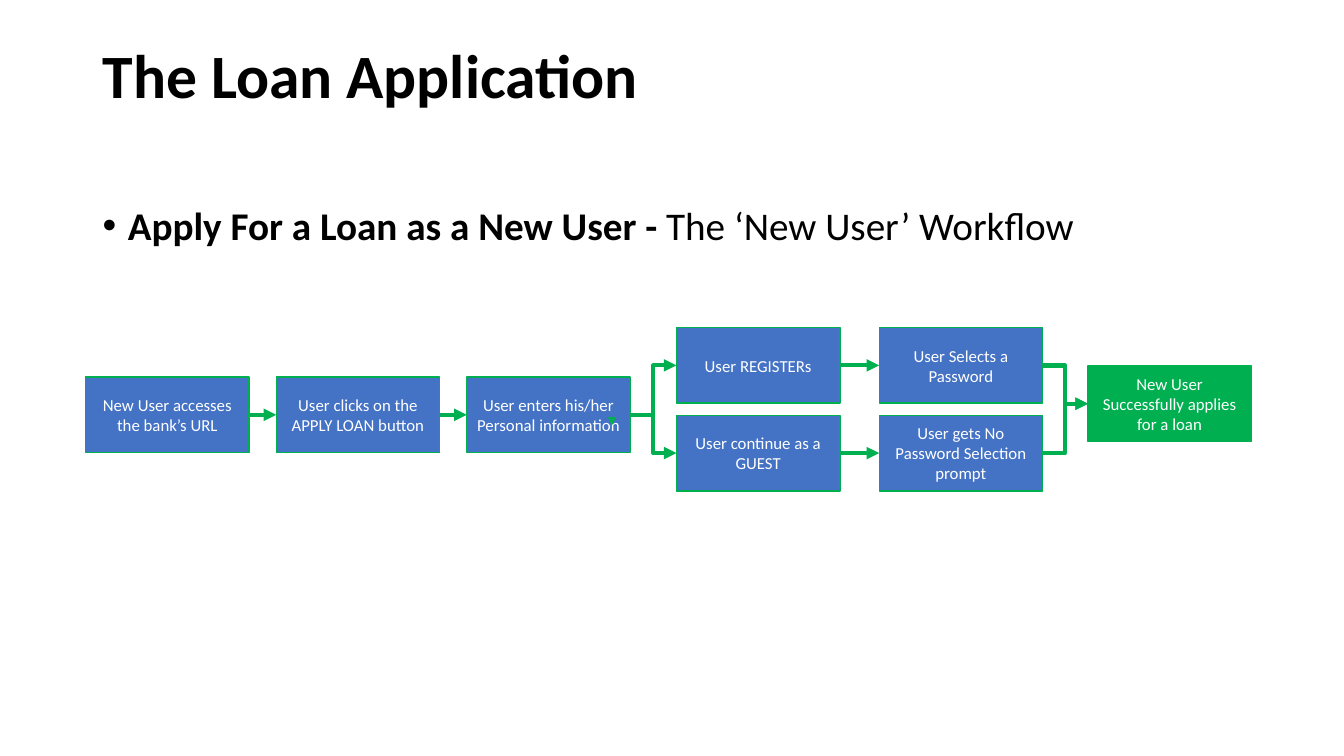
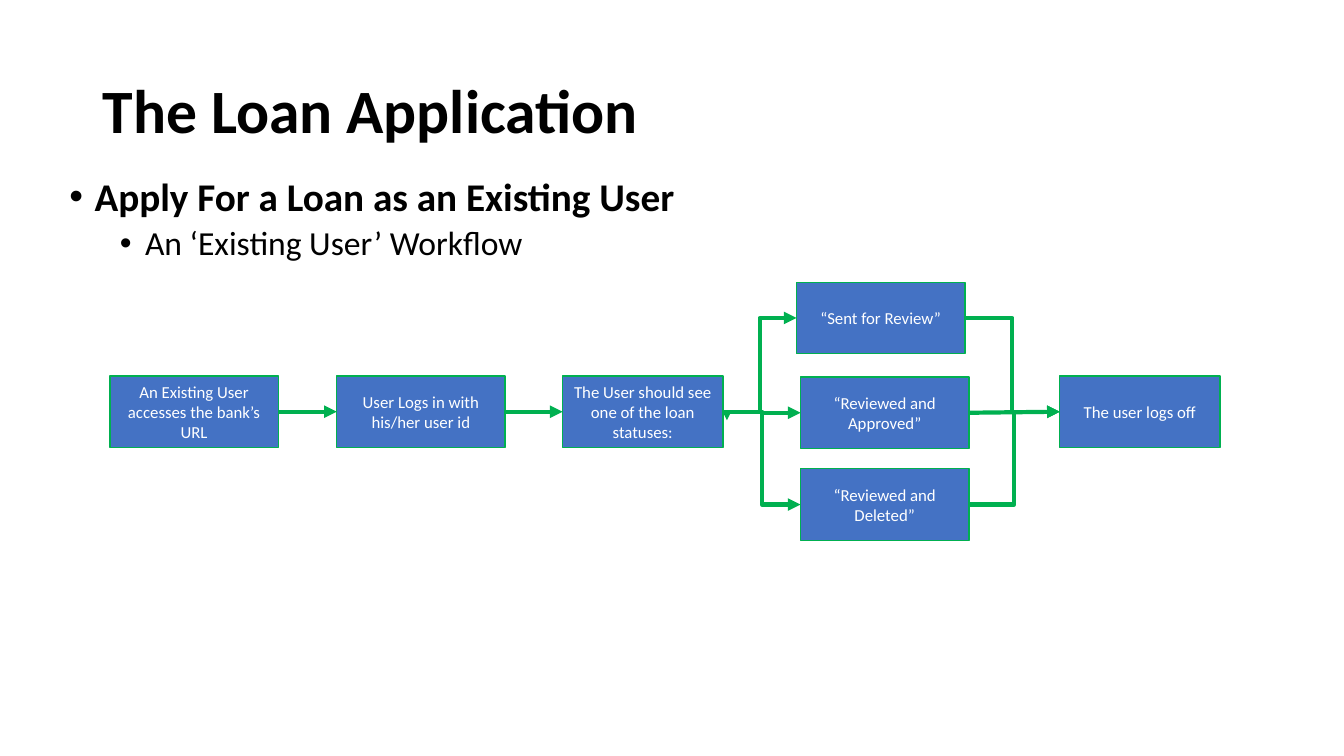
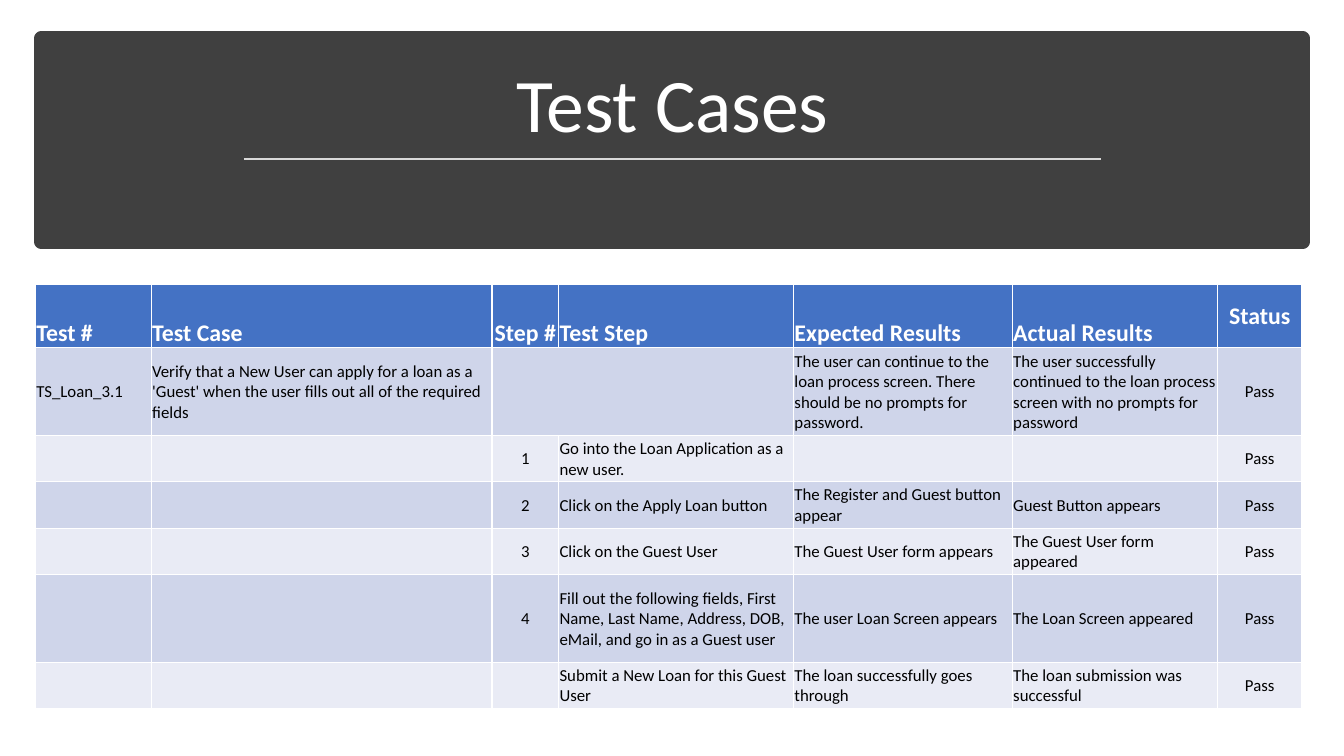
from pptx import Presentation
from pptx.dml.color import RGBColor as RGB
from pptx.enum.shapes import MSO_CONNECTOR as Link, MSO_SHAPE as Shape
from pptx.enum.text import MSO_ANCHOR as Anchor, PP_ALIGN as Align
from pptx.oxml.ns import qn
from pptx.util import Inches, Pt
from lxml.etree import SubElement

# Shared look
FONT = "Calibri"
BLACK, WHITE = RGB(0, 0, 0), RGB(255, 255, 255)
BLUE, GREEN = RGB(0x44, 0x72, 0xC4), RGB(0x00, 0xB0, 0x50)
DARK, RULE = RGB(0x40, 0x40, 0x40), RGB(0xD9, 0xD9, 0xD9)
BANDS = RGB(0xCF, 0xD5, 0xEA), RGB(0xE9, 0xEB, 0xF5)
HEAD = dict(size=Pt(44), bold=True, color=BLACK)
NOTE = dict(size=Pt(12), color=WHITE)
LEFT, RIGHT = 1, 3  # connection sites of a rectangle

# Content: bullets are (level, runs), a run is (text, bold)
# Boxes are name: (text, left, top, width, fill); links are (from, to)
NAME = "The Loan Application"
FLOWS = [
    dict(
        anchor=Anchor.TOP, body=(0.92, 2), high=0.75, tick=(6.07, 4.21),
        points=[(0, [("Apply For a Loan as a New User - ", True),
                     ("The ‘New User’ Workflow", False)])],
        boxes=dict(
            open=("New User accesses the bank’s URL", 0.85, 3.74, 1.62, BLUE),
            click=("User clicks on the APPLY LOAN button", 2.74, 3.74, 1.62, BLUE),
            enter=("User enters his/her Personal information", 4.63, 3.74, 1.62, BLUE),
            join=("User REGISTERs", 6.71, 3.25, 1.62, BLUE),
            guest=("User continue as a GUEST", 6.71, 4.12, 1.62, BLUE),
            pick=("User Selects a Password", 8.72, 3.25, 1.62, BLUE),
            skip=("User gets No Password Selection prompt", 8.72, 4.12, 1.62, BLUE),
            done=("New User Successfully applies for a loan", 10.79, 3.63, 1.62, GREEN)),
        lines=[("open", "click"), ("click", "enter"), ("join", "pick"), ("guest", "skip")],
        bends=[("enter", "guest"), ("enter", "join"), ("pick", "done"), ("skip", "done")]),
    dict(
        anchor=Anchor.MIDDLE, body=(0.59, 1.71), high=0.71, tick=(7.21, 4.16),
        points=[(0, [("Apply For a Loan as an Existing User", True)]),
                (1, [("An ‘Existing User’ Workflow", False)])],
        boxes=dict(
            open=("An Existing User accesses the bank’s URL", 1.09, 3.73, 1.67, BLUE),
            login=("User Logs in with his/her user id", 3.34, 3.73, 1.67, BLUE),
            state=("The User should see one of the loan statuses:", 5.58, 3.73, 1.59, BLUE),
            sent=("“Sent for Review”", 7.9, 2.8, 1.67, BLUE),
            passed=("“Reviewed and Approved”", 7.94, 3.74, 1.67, BLUE),
            cut=("“Reviewed and Deleted”", 7.94, 4.65, 1.67, BLUE),
            done=("The user logs off", 10.51, 3.73, 1.59, BLUE)),
        lines=[("open", "login"), ("login", "state"), ("passed", "done")],
        bends=[("state", "passed"), ("state", "sent"), ("state", "cut"),
               ("sent", "done"), ("cut", "done")]),
]

COLS = [1.15, 3.38, 0.66, 2.33, 2.17, 2.04, 0.83]
ROWS = [0.63, 0.87, 0.46, 0.46, 0.46, 0.87, 0.46]
CASES = [
    ("Test #", "Test Case", "Step #", "Test Step", "Expected Results",
     "Actual Results", "Status"),
    ("TS_Loan_3.1", "Verify that a New User can apply for a loan as a 'Guest' when "
     "the user fills out all of the required fields", "", "",
     "The user can continue to the loan process screen. There should be no prompts "
     "for password.",
     "The user successfully continued to the loan process screen with no prompts "
     "for password", "Pass"),
    ("", "", "1", "Go into the Loan Application as a new user.", "", "", "Pass"),
    ("", "", "2", "Click on the Apply Loan button",
     "The Register and Guest button appear", "Guest Button appears", "Pass"),
    ("", "", "3", "Click on the Guest User", "The Guest User form appears",
     "The Guest User form appeared", "Pass"),
    ("", "", "4", "Fill out the following fields, First Name, Last Name, Address, "
     "DOB, eMail, and go in as a Guest user", "The user Loan Screen appears",
     "The Loan Screen appeared", "Pass"),
    ("", "", "", "Submit a New Loan for this Guest User",
     "The loan successfully goes through", "The loan submission was successful", "Pass"),
]


def inches(*nums):
    return [Inches(n) for n in nums]


def add_run(para, text, color, **style):
    run = para.add_run()
    run.text = text
    run.font.color.rgb = color
    for key, val in dict(name=FONT, **style).items():
        setattr(run.font, key, val)


def add_text(slide, spot, anchor):
    frame = slide.shapes.add_textbox(*inches(*spot)).text_frame
    frame.word_wrap, frame.vertical_anchor = True, anchor
    return frame


def add_title(slide, text, spot, anchor, align, style):
    para = add_text(slide, spot, anchor).paragraphs[0]
    para.alignment, para.line_spacing = align, 0.9
    add_run(para, text, **style)


def add_points(slide, spot, points):
    frame = add_text(slide, spot, Anchor.TOP)
    for num, (level, runs) in enumerate(points):
        para = frame.add_paragraph() if num else frame.paragraphs[0]
        para.level, para.line_spacing = level, 0.9
        para.space_before = Pt(5 if level else 10)
        props = para._p.get_or_add_pPr()
        props.set("marL", str(Inches(0.25 + 0.5 * level)))
        props.set("indent", str(Inches(-0.25)))
        SubElement(props, qn("a:buFont")).set("typeface", "Arial")
        SubElement(props, qn("a:buChar")).set("char", "•")
        for text, bold in runs:
            add_run(para, text, BLACK, size=Pt(28 - 4 * level), bold=bold)


def add_rect(slide, spot, fill, edge, width):
    rect = slide.shapes.add_shape(Shape.RECTANGLE, *inches(*spot))
    rect.shadow.inherit = False
    rect.fill.solid()
    rect.fill.fore_color.rgb = fill
    rect.line.color.rgb, rect.line.width = edge, Pt(width)
    return rect


def add_box(slide, text, left, top, width, fill, high):
    box = add_rect(slide, (left, top, width, high), fill, GREEN, 1)
    frame = box.text_frame
    frame.word_wrap, frame.vertical_anchor = True, Anchor.MIDDLE
    frame.paragraphs[0].alignment = Align.CENTER
    add_run(frame.paragraphs[0], text, **NOTE)
    return box


def add_line(slide, kind, ends, color, width, arrow=True):
    line = slide.shapes.add_connector(kind, *inches(*ends))
    line.line.color.rgb, line.line.width = color, Pt(width)
    if arrow:
        SubElement(line.line._get_or_add_ln(), qn("a:tailEnd")).set("type", "triangle")
    SubElement(line._element.spPr, qn("a:effectLst"))
    return line


def add_flow(deck, flow):
    slide = deck.slides.add_slide(deck.slide_layouts[6])
    add_title(slide, NAME, (0.92, 0.4, 11.5, 1.45), flow["anchor"], Align.LEFT, HEAD)
    add_points(slide, (*flow["body"], 11.5, 4.76), flow["points"])
    boxes = {key: add_box(slide, *box, flow["high"]) for key, box in flow["boxes"].items()}
    for kind, pairs in (Link.STRAIGHT, flow["lines"]), (Link.ELBOW, flow["bends"]):
        for start, end in pairs:
            line = add_line(slide, kind, (0, 0, 0, 0), GREEN, 3)
            line.begin_connect(boxes[start], RIGHT)
            line.end_connect(boxes[end], LEFT)
    # Small arrow tip beside the fork
    left, top = flow["tick"]
    add_line(slide, Link.STRAIGHT, (left, top, left, top + 0.01), GREEN, 0.5)


def add_cases(deck):
    slide = deck.slides.add_slide(deck.slide_layouts[6])
    # Banner
    add_rect(slide, (0.41, 0.38, 12.51, 2.02), DARK, DARK, 10)
    add_title(slide, "Test Cases", (0.58, 0.51, 12.18, 1.02), Anchor.BOTTOM,
              Align.CENTER, dict(size=Pt(54), color=WHITE))
    add_line(slide, Link.STRAIGHT, (2.42, 1.58, 10.92, 1.58), RULE, 1.75, arrow=False)
    # Table
    spot = inches(0.35, 2.82, sum(COLS), sum(ROWS))
    table = slide.shapes.add_table(len(ROWS), len(COLS), *spot).table
    for col, width in zip(table.columns, COLS):
        col.width = Inches(width)
    for row, high in zip(table.rows, ROWS):
        row.height = Inches(high)
    for r, texts in enumerate(CASES):
        style = (dict(size=Pt(12), bold=False, color=BLACK) if r
                 else dict(size=Pt(17), bold=True, color=WHITE))
        for c, text in enumerate(texts):
            cell = table.cell(r, c)
            cell.fill.solid()
            cell.fill.fore_color.rgb = BANDS[(r - 1) % 2] if r else BLUE
            cell.margin_left = cell.margin_right = cell.margin_top = Inches(0.01)
            cell.margin_bottom = 0
            last = c == len(COLS) - 1
            cell.vertical_anchor = Anchor.MIDDLE if r or last else Anchor.BOTTOM
            if text:
                para = cell.text_frame.paragraphs[0]
                para.alignment = Align.CENTER if c == 2 or last else Align.LEFT
                add_run(para, text, **style)
    table.cell(1, 2).merge(table.cell(1, 3))


def main():
    deck = Presentation()
    deck.slide_width, deck.slide_height = inches(13.33, 7.5)
    for flow in FLOWS:
        add_flow(deck, flow)
    add_cases(deck)
    deck.save("out.pptx")


if __name__ == "__main__":
    main()
